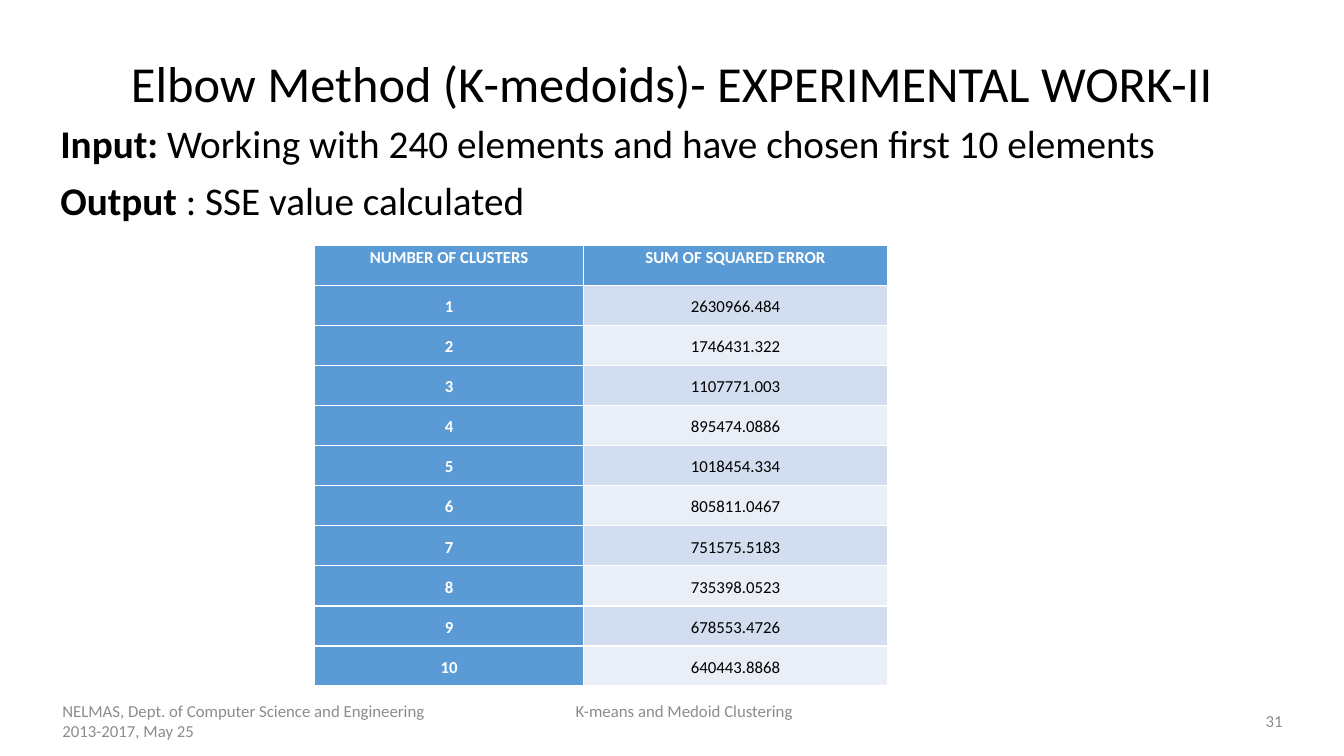
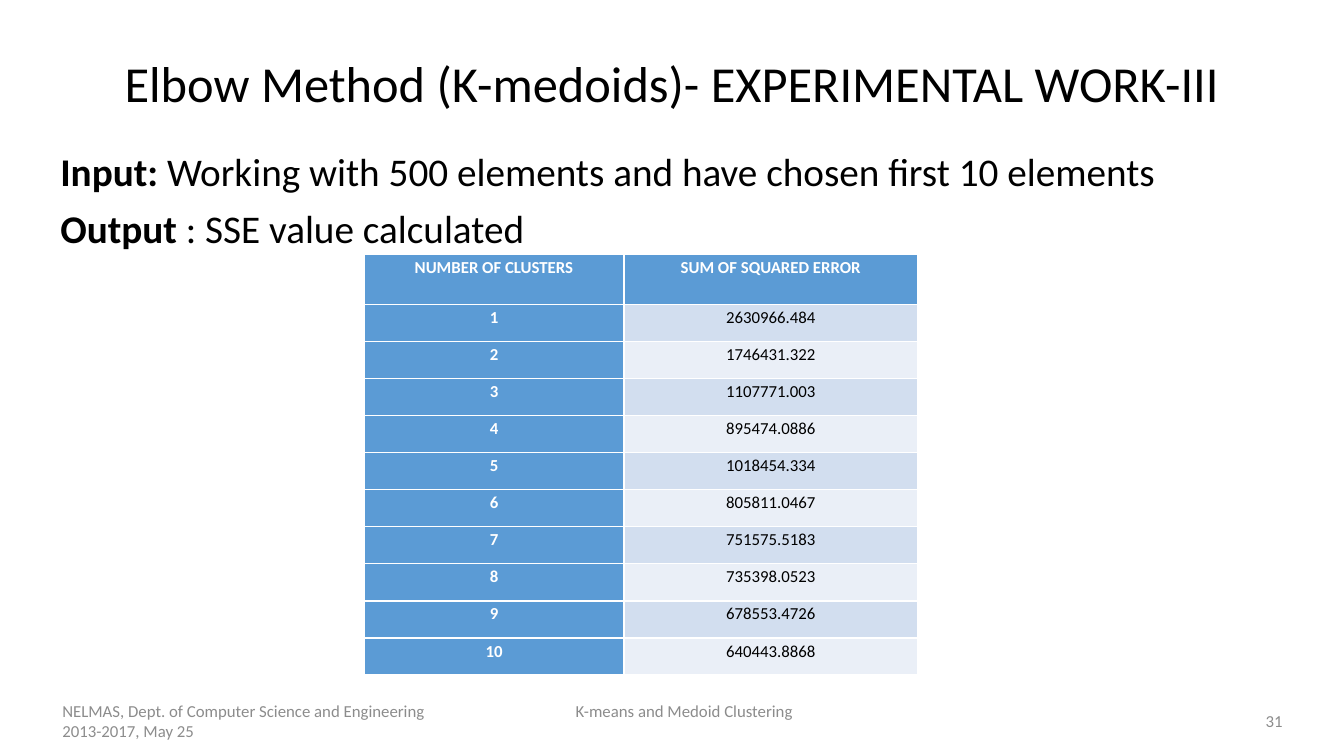
from lxml import etree
from pptx import Presentation
from pptx.dml.color import RGBColor
from pptx.enum import text
from pptx.oxml import ns
from pptx.util import Inches, Pt

FONT = "Calibri"
BLACK, WHITE, GREY = "000000", "FFFFFF", "8C8C8C"
BLUE, BANDS = "5B9BD5", ("D2DEEF", "EAEFF7")
LEFT, CENTER = text.PP_ALIGN.LEFT, text.PP_ALIGN.CENTER
RIGHT, JUSTIFY = text.PP_ALIGN.RIGHT, text.PP_ALIGN.JUSTIFY
TOP, MIDDLE = text.MSO_ANCHOR.TOP, text.MSO_ANCHOR.MIDDLE

HEADINGS = ("NUMBER OF CLUSTERS", "SUM OF SQUARED ERROR")
ERRORS = ("2630966.484", "1746431.322", "1107771.003", "895474.0886",
          "1018454.334", "805811.0467", "751575.5183", "735398.0523",
          "678553.4726", "640443.8868")

EXPERIMENTS = (
    dict(number="II", elements=240, brief_top=1.19, anchor=MIDDLE,
         corner=(3.12, 2.43), widths=(2.67, 3.01), header=0.4, height=4.38),
    dict(number="III", elements=500, brief_top=1.47, anchor=TOP,
         corner=(3.61, 2.52), widths=(2.58, 2.91), header=0.5, height=4.18),
)


def rgb(value):
    return RGBColor.from_string(value)


def set_all(target, values):
    for name, value in values.items():
        setattr(target, name, value)


def write(paragraph, runs, size, color, **layout):
    """Fill a paragraph with (text, bold) runs in one size and colour."""
    set_all(paragraph, layout)
    for words, bold in runs:
        run = paragraph.add_run()
        run.text = words
        set_all(run.font, dict(name=FONT, size=Pt(size), bold=bold))
        run.font.color.rgb = rgb(color)


def add_text_frame(slide, left, top, width, height, anchor):
    frame = slide.shapes.add_textbox(*map(Inches, (left, top, width, height))).text_frame
    set_all(frame, dict(word_wrap=True, vertical_anchor=anchor))
    return frame


def add_title(slide, words):
    title = slide.shapes.title
    set_all(title, dict(left=0, top=Inches(0.27), width=Inches(13.33),
                        height=Inches(1.18)))
    frame = title.text_frame
    set_all(frame, dict(vertical_anchor=MIDDLE, auto_size=text.MSO_AUTO_SIZE.NONE))
    write(frame.paragraphs[0], [(words, False)], 36, BLACK,
          alignment=CENTER, line_spacing=0.9)


def add_tab_stop(paragraph, position):
    properties = paragraph._p.get_or_add_pPr()
    stops = etree.SubElement(properties, ns.qn("a:tabLst"))
    etree.SubElement(stops, ns.qn("a:tab"), pos=str(Inches(position)), algn="l")


def add_footer(slide):
    credit = add_text_frame(slide, 0.52, 6.95, 12.3, 0.4, MIDDLE)
    department = credit.paragraphs[0]
    write(department, [("NELMAS, Dept. of Computer Science and Engineering"
                        "\tK-means and Medoid Clustering", False)],
          12, GREY, alignment=LEFT)
    add_tab_stop(department, 5.09)
    write(credit.add_paragraph(), [("2013-2017, May 25", False)], 12, GREY,
          alignment=LEFT)
    page = add_text_frame(slide, 9.82, 6.95, 3, 0.4, MIDDLE)
    write(page.paragraphs[0], [("31", False)], 12, GREY, alignment=RIGHT)


def add_brief(slide, top, elements):
    """State the input and output of the experiment."""
    brief = add_text_frame(slide, 0.5, top, 12.32, 1.1, TOP)
    layout = dict(alignment=JUSTIFY, line_spacing=0.9)
    write(brief.paragraphs[0],
          [("Input: ", True),
           (f"Working with {elements} elements and have chosen first 10 elements", False)],
          28, BLACK, **layout)
    write(brief.add_paragraph(), [("Output", True), (" : SSE value calculated", False)],
          28, BLACK, space_before=Pt(10), **layout)


def fill_cell(cell, words, fill, color, bold, anchor):
    set_all(cell, dict(vertical_anchor=anchor, margin_left=Inches(0.07),
                       margin_right=Inches(0.07), margin_top=0, margin_bottom=0))
    cell.fill.solid()
    cell.fill.fore_color.rgb = rgb(fill)
    write(cell.text_frame.paragraphs[0], [(words, bold)], 12, color,
          alignment=CENTER, line_spacing=1.15)


def add_error_table(slide, corner, widths, header, height, anchor):
    bounds = (*corner, sum(widths), height)
    table = slide.shapes.add_table(len(ERRORS) + 1, len(HEADINGS),
                                   *map(Inches, bounds)).table
    table.first_col = True
    for column, width in zip(table.columns, widths):
        column.width = Inches(width)
    for row in table.rows:
        row.height = Inches((height - header) / len(ERRORS))
    table.rows[0].height = Inches(header)
    for column, heading in enumerate(HEADINGS):
        fill_cell(table.cell(0, column), heading, BLUE, WHITE, True, TOP)
    for clusters, error in enumerate(ERRORS, 1):
        band = BANDS[(clusters - 1) % 2]
        fill_cell(table.cell(clusters, 0), str(clusters), BLUE, WHITE, True, anchor)
        fill_cell(table.cell(clusters, 1), error, band, BLACK, False, anchor)


def add_experiment(deck, number, elements, brief_top, **table_format):
    slide = deck.slides.add_slide(deck.slide_layouts.get_by_name("Title Only"))
    add_footer(slide)
    add_title(slide, f"Elbow Method (K-medoids)- EXPERIMENTAL WORK-{number}")
    add_brief(slide, brief_top, elements)
    add_error_table(slide, **table_format)


def main():
    deck = Presentation()
    set_all(deck, dict(slide_width=Inches(13.33), slide_height=Inches(7.5)))
    for experiment in EXPERIMENTS:
        add_experiment(deck, **experiment)
    deck.save("out.pptx")


if __name__ == "__main__":
    main()
